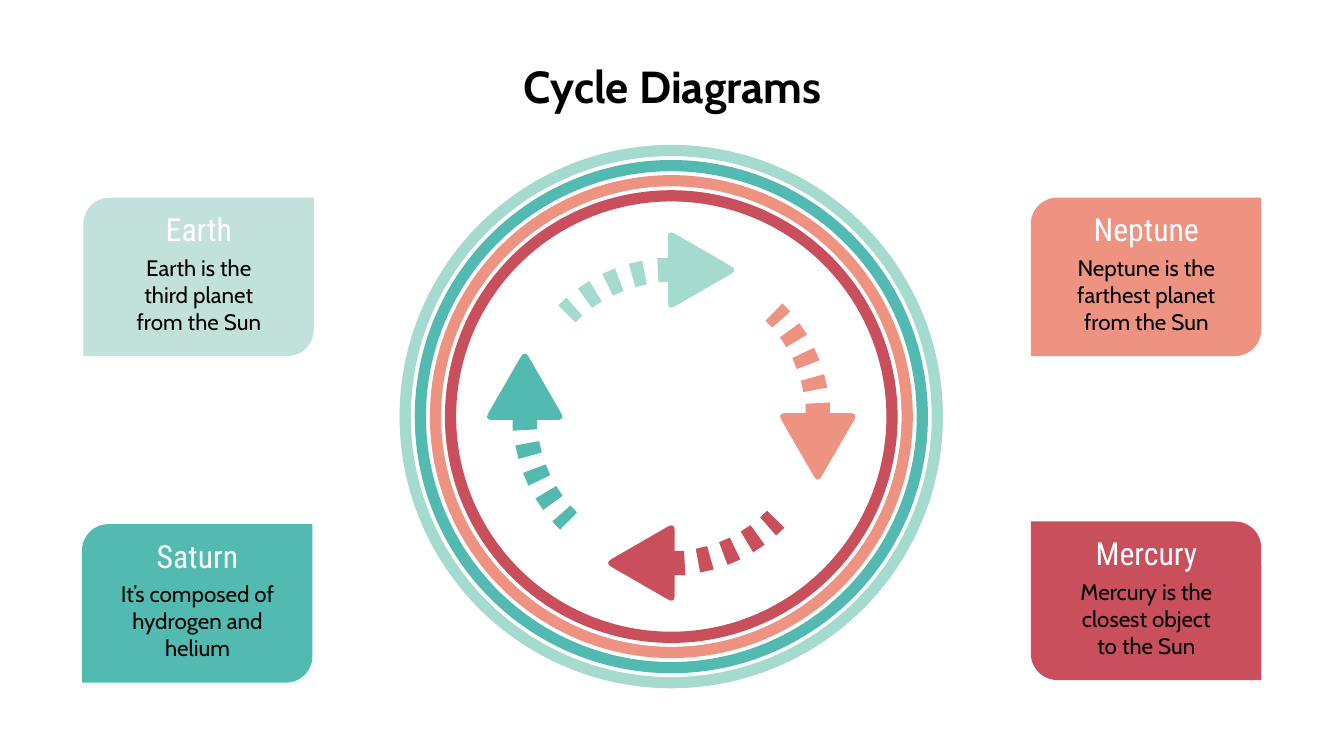
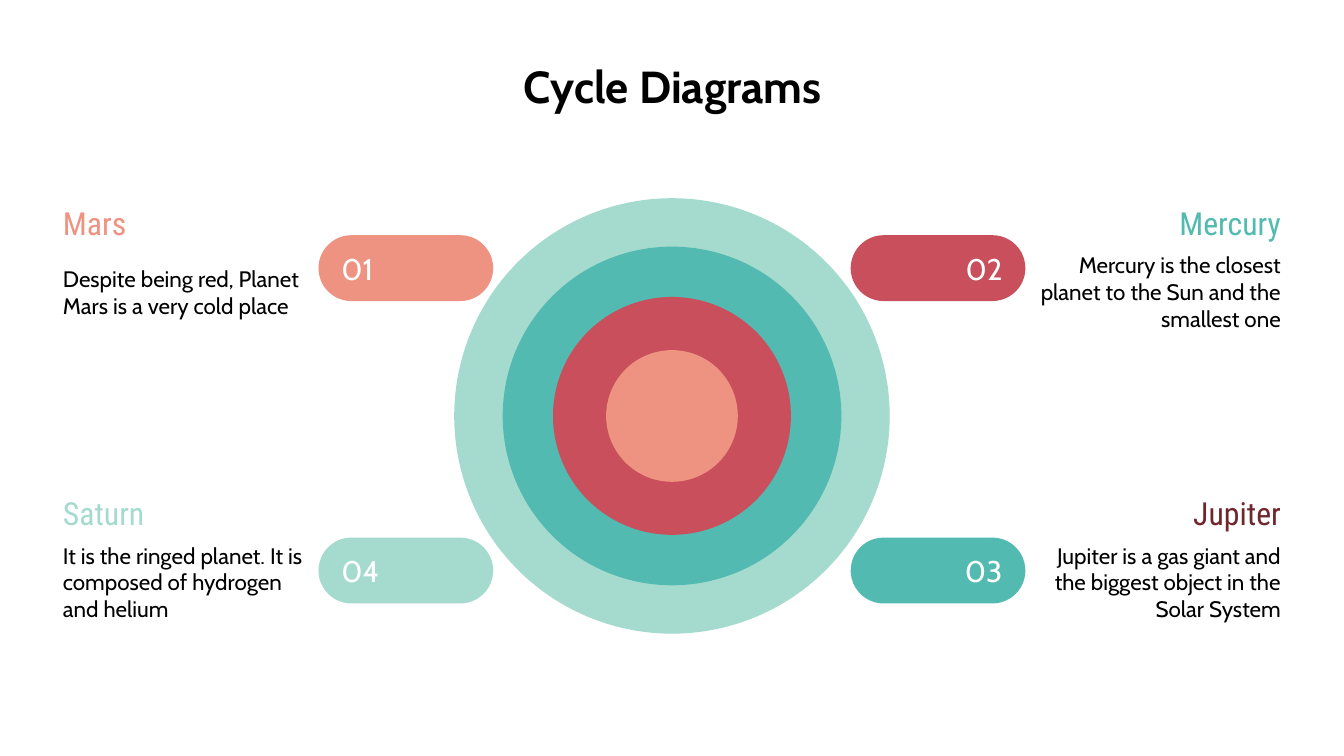
from math import cos, hypot, radians, sin

from lxml.etree import SubElement
from pptx import Presentation
from pptx.dml.color import RGBColor
from pptx.enum.shapes import MSO_SHAPE
from pptx.enum.text import MSO_ANCHOR, MSO_AUTO_SIZE, PP_ALIGN
from pptx.oxml.ns import qn
from pptx.util import Inches, Pt

# Shared style; every length is counted in grid cells, 100 to the slide's width
COLUMNS, ROWS = 100, 56.25
CELL = Inches(0.1)
COLORS = {
    "mint": "A5DACF", "teal": "52BAB0", "coral": "EE9281", "red": "C84F5B",
    "sage": "84C3B6", "wine": "6F262D", "white": "FFFFFF", "black": "000000",
}
BODY_FONT, HEADING_FONT = "Cabin", "Roboto Condensed"
LEFT, CENTER, RIGHT = PP_ALIGN.LEFT, PP_ALIGN.CENTER, PP_ALIGN.RIGHT


def cells(*lengths):
    return [round(length * CELL) for length in lengths]


def color(name):
    return RGBColor.from_string(COLORS[name])


def write(shape, text, size, color_name, font=BODY_FONT, align=CENTER,
          anchor=MSO_ANCHOR.MIDDLE, bold=False):
    frame = shape.text_frame
    frame.text = text
    frame.word_wrap = True
    frame.auto_size = MSO_AUTO_SIZE.NONE
    frame.vertical_anchor = anchor
    frame.margin_left = frame.margin_right = CELL
    frame.margin_top = frame.margin_bottom = CELL
    paragraph = frame.paragraphs[0]
    paragraph.alignment = align
    run_font = paragraph.runs[0].font
    run_font.name, run_font.size, run_font.bold = font, Pt(size), bold
    run_font.color.rgb = color(color_name)


def paint(shape, color_name, opacity=100):
    shape.shadow.inherit = False
    shape.line.fill.background()
    shape.fill.solid()
    shape.fill.fore_color.rgb = color(color_name)
    if opacity < 100:
        rgb = shape.fill._xPr.find(qn("a:solidFill")).find(qn("a:srgbClr"))
        SubElement(rgb, qn("a:alpha")).set("val", str(opacity * 1000))


def add_titled_slide(presentation, title):
    slide = presentation.slides.add_slide(presentation.slide_layouts[5])
    shape = slide.shapes.title
    shape.left, shape.top, shape.width, shape.height = cells(2, 3.4, 96.1, 6.3)
    write(shape, title, 24, "black", anchor=MSO_ANCHOR.TOP, bold=True)
    return slide


def add_label(slide, left, top, width, heading, body, heading_color, align, body_drop):
    heading_box = slide.shapes.add_textbox(*cells(left, top, width, 4.7))
    write(heading_box, heading, 17, heading_color, HEADING_FONT, align)
    body_box = slide.shapes.add_textbox(*cells(left, top + body_drop, width, 5.8))
    write(body_box, body, 12, "black", align=align)


def add_circle(slide, center, diameter):
    x, y = center
    return slide.shapes.add_shape(MSO_SHAPE.OVAL, *cells(
        x - diameter / 2, y - diameter / 2, diameter, diameter))


def add_ring(slide, center, diameter, color_name):
    ring = add_circle(slide, center, diameter)
    ring.shadow.inherit = False
    ring.fill.background()
    ring.line.color.rgb = color(color_name)
    ring.line.width = Pt(6)


def add_card(slide, left, top, heading, body, color_name, opacity, flipped):
    card = slide.shapes.add_shape(
        MSO_SHAPE.ROUND_2_DIAG_RECTANGLE, *cells(left, top, 17.15, 11.8))
    card.adjustments[0], card.adjustments[1] = (0, 0.167) if flipped else (0.167, 0)
    paint(card, color_name, opacity)
    add_label(slide, left + 1.9, top, 13.4, heading, body, "white", CENTER, 4.3)


# Dashed arrows: outlines relative to the cycle's centre, turned by quarters
def polar(radius, degrees):
    return radius * sin(radians(degrees)), -radius * cos(radians(degrees))


def dash_outline(index):
    start = -10.5 - 10.3 * index
    end = max(start - 5, -45.5)
    return [polar(11.8, start), polar(11.8, end), polar(10, end), polar(10, start)]


def rounded_corner(before, corner, after, cut=0.6, steps=6):
    def toward(point):
        dx, dy = point[0] - corner[0], point[1] - corner[1]
        share = cut / hypot(dx, dy)
        return corner[0] + dx * share, corner[1] + dy * share

    start, end = toward(before), toward(after)
    shares = [step / steps for step in range(steps + 1)]
    return [tuple((1 - t) ** 2 * a + 2 * t * (1 - t) * b + t * t * c
                  for a, b, c in zip(start, corner, end)) for t in shares]


def head_outline():
    upper, tip, lower = (-0.25, -13.9), (4.95, -10.9), (-0.25, -7.9)
    return [(-0.25, -10), (-0.95, -10), (-1.05, -11.8), (-0.25, -11.8),
            *rounded_corner(lower, upper, tip),
            *rounded_corner(upper, tip, lower),
            *rounded_corner(tip, lower, upper)]


def add_outline(slide, center, points, quarters, color_name):
    for _ in range(quarters):
        points = [(-y, x) for x, y in points]
    placed = [tuple(cells(center[0] + x, center[1] + y)) for x, y in points]
    builder = slide.shapes.build_freeform(*placed[0])
    builder.add_line_segments(placed[1:], close=True)
    paint(builder.convert_to_shape(), color_name)


def add_arrow(slide, center, quarters, color_name):
    for index in range(4):
        add_outline(slide, center, dash_outline(index), quarters, color_name)
    add_outline(slide, center, head_outline(), quarters, color_name)


def build_arrow_cycle(presentation):
    slide = add_titled_slide(presentation, "Cycle Diagrams")
    cards = [
        (6.1, 39, "Saturn", "It’s composed of hydrogen and helium", "teal", 100, False),
        (76.7, 38.8, "Mercury", "Mercury is the closest object to the Sun",
         "red", 100, True),
        (76.7, 14.7, "Neptune", "Neptune is the farthest planet from the Sun",
         "coral", 100, False),
        (6.2, 14.7, "Earth", "Earth is the third planet from the Sun",
         "sage", 49, False),
    ]
    for card in cards:
        add_card(slide, *card)

    center = (49.95, 31)
    for index, name in enumerate(("mint", "teal", "coral", "red")):
        add_ring(slide, center, 39.6 - 2.25 * index, name)
    for quarters, name in enumerate(("mint", "coral", "red", "teal")):
        add_arrow(slide, center, quarters, name)


def add_numbered_planet(slide, on_right, pill_top, label_top, number, pill_color,
                        heading, body, heading_color):
    align = RIGHT if on_right else LEFT
    pill_width, label_width = 13, 20.6
    pill_left, label_left = 23.7, 3.7
    if on_right:
        pill_left = COLUMNS - pill_left - pill_width
        label_left = COLUMNS - label_left - label_width
    pill = slide.shapes.add_shape(
        MSO_SHAPE.ROUNDED_RECTANGLE, *cells(pill_left, pill_top, pill_width, 4.9))
    pill.adjustments[0] = 0.5
    paint(pill, pill_color)
    write(pill, number, 16, "white", align=align)
    add_label(slide, label_left, label_top, label_width, heading, body,
              heading_color, align, 4.6)


def build_target(presentation):
    slide = add_titled_slide(presentation, "Cycle Diagrams")
    discs = [(32.4, "mint"), (25.2, "teal"), (17.7, "red"), (9.8, "coral")]
    for diameter, name in discs:
        paint(add_circle(slide, (50, 30.95), diameter), name)

    upper, lower = (17.5, 14.2), (40, 35.8)
    planets = [
        (False, *upper, "01", "coral", "Mars",
         "Despite being red, Planet Mars is a very cold place", "coral"),
        (True, *upper, "02", "red", "Mercury",
         "Mercury is the closest planet to the Sun and the smallest one", "teal"),
        (True, *lower, "03", "teal", "Jupiter",
         "Jupiter is a gas giant and the biggest object in the Solar System", "wine"),
        (False, *lower, "04", "mint", "Saturn",
         "It is the ringed planet. It is composed of hydrogen and helium", "mint"),
    ]
    for planet in planets:
        add_numbered_planet(slide, *planet)


def main():
    presentation = Presentation()
    presentation.slide_width, presentation.slide_height = cells(COLUMNS, ROWS)
    build_arrow_cycle(presentation)
    build_target(presentation)
    presentation.save("out.pptx")


if __name__ == "__main__":
    main()
